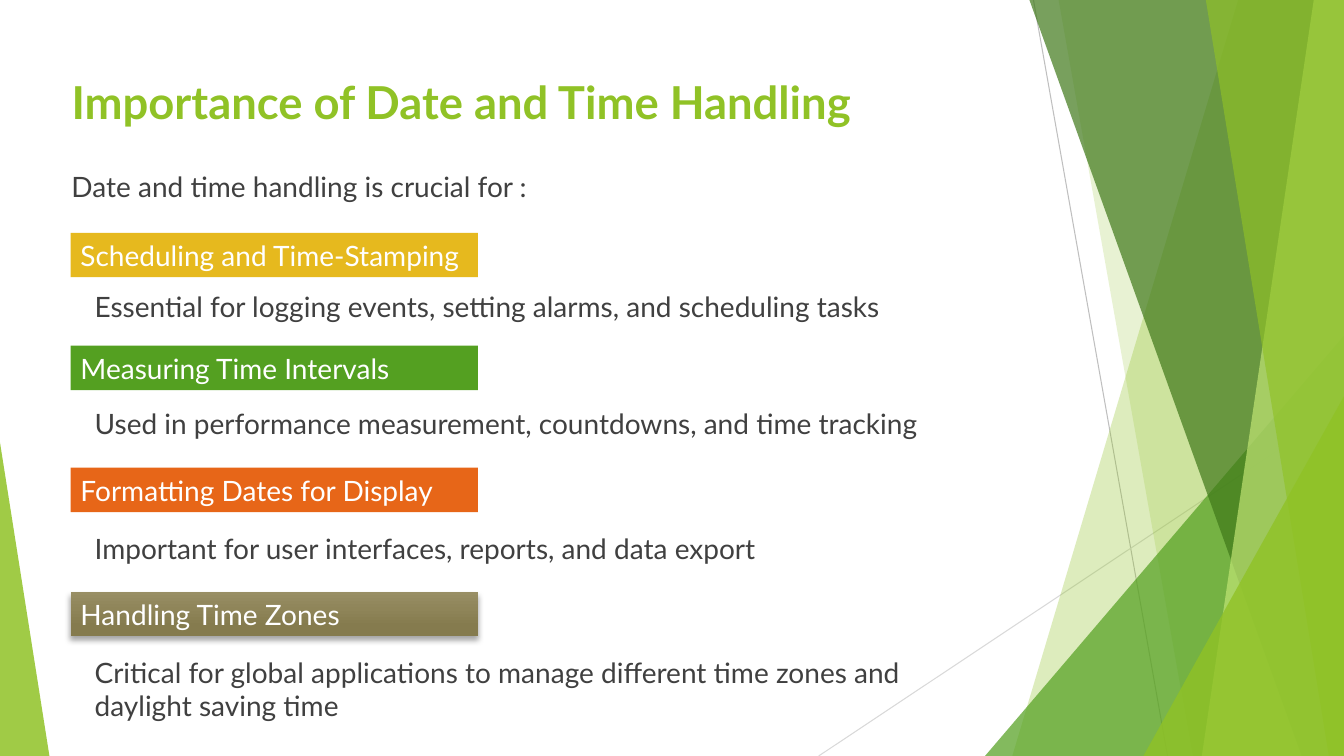
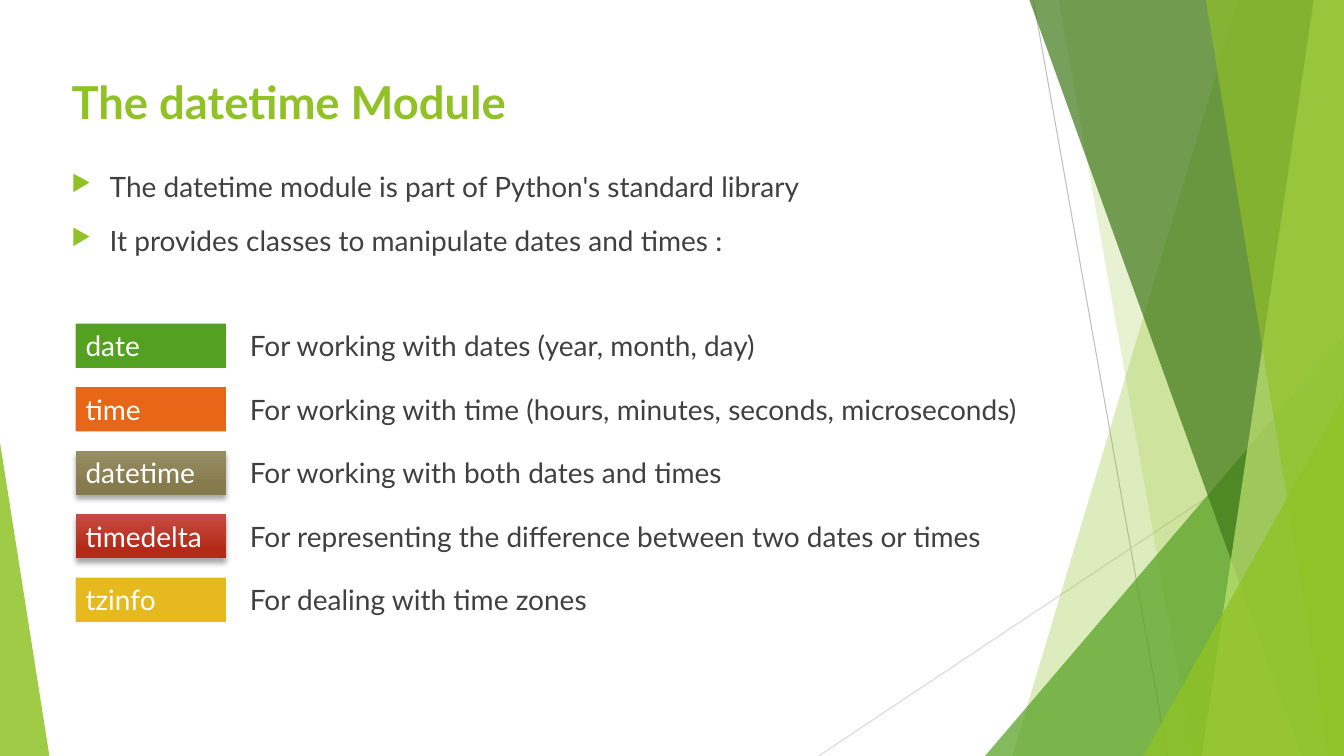
import dataclasses

import pptx
import pptx.dml.color
import pptx.enum.shapes
import pptx.enum.text
import pptx.oxml.ns
import pptx.oxml.xmlchemy
import pptx.util
import lxml.etree

Inches = pptx.util.Inches
Pt = pptx.util.Pt
qn = pptx.oxml.ns.qn
RGB = pptx.dml.color.RGBColor.from_string
SHAPE = pptx.enum.shapes.MSO_SHAPE
ANCHOR = pptx.enum.text.MSO_ANCHOR


@dataclasses.dataclass(frozen=True)
class Theme:
    lime: str = "90C226"
    pale_lime: str = "C0E474"
    green: str = "54A021"
    dark_green: str = "3F7819"
    yellow: str = "E6B91E"
    orange: str = "E76618"
    olive: tuple = ("988E64", "857B4E")
    red: tuple = ("C74B42", "B32B18")
    text: str = "404040"
    white: str = "FFFFFF"
    title_format: dict = dataclasses.field(
        default_factory=lambda: {"name": "Lato", "size": Pt(32.4), "bold": True})
    body_format: dict = dataclasses.field(
        default_factory=lambda: {"name": "Lato", "size": Pt(20), "bold": False})


theme = Theme()
WIDTH, HEIGHT = 13.33, 7.5


def write_text(shape, lines, font_format, colour, anchor=ANCHOR.TOP):
    frame = shape.text_frame
    frame.text = "\n".join(lines)
    frame.word_wrap = True
    frame.auto_size = pptx.enum.text.MSO_AUTO_SIZE.NONE
    frame.vertical_anchor = anchor
    for paragraph in frame.paragraphs:
        paragraph.alignment = pptx.enum.text.PP_ALIGN.LEFT
        for name, value in font_format.items():
            setattr(paragraph.font, name, value)
        paragraph.font.color.rgb = RGB(colour)


def add_label(slide, left, top, width, text, fill):
    """Add a coloured label; a pair of colours gives a shaded fill and a shadow."""
    shape = slide.shapes.add_shape(
        SHAPE.RECTANGLE, Inches(left), Inches(top), Inches(width), Inches(0.44))
    shape.shadow.inherit = False
    shape.line.fill.background()
    if isinstance(fill, tuple):
        shape.fill.gradient()
        shape.fill.gradient_angle = 270
        for stop, colour, position in zip(shape.fill.gradient_stops, fill, (0, 0.78)):
            stop.color.rgb = RGB(colour)
            stop.position = position
        effects = shape.element.spPr.find(qn("a:effectLst"))
        shadow = lxml.etree.SubElement(
            effects, qn("a:outerShdw"), blurRad=str(Pt(4)), dist=str(Pt(3)),
            dir="5400000", rotWithShape="0")
        shadow_colour = lxml.etree.SubElement(shadow, qn("a:srgbClr"), val="000000")
        lxml.etree.SubElement(shadow_colour, qn("a:alpha"), val="35000")
    else:
        shape.fill.solid()
        shape.fill.fore_color.rgb = RGB(fill)
    write_text(shape, [text], theme.body_format, theme.white, ANCHOR.MIDDLE)


presentation = pptx.Presentation()
presentation.slide_width = Inches(WIDTH)
presentation.slide_height = Inches(HEIGHT)

# Shared layout: title position and the facets on both edges
layout = presentation.slide_layouts[5]
title_place = {"left": 0.61, "top": 0.69, "width": 8.4, "height": 0.59}
for name, value in title_place.items():
    setattr(layout.placeholders[0], name, Inches(value))

titles = ["Importance of Date and Time Handling", "The datetime Module"]
slides = []
for title in titles:
    slide = presentation.slides.add_slide(layout)
    write_text(slide.shapes.title, [title], theme.title_format, theme.lime)
    slides.append(slide)
importance_slide, module_slide = slides

decoration = []
edge_lines = [((10.25, 0), (11.58, HEIGHT), "BFBFBF"),
              ((WIDTH, 4.03), (8.12, HEIGHT), "D9D9D9")]
for start, end, colour in edge_lines:
    connector = importance_slide.shapes.add_connector(
        pptx.enum.shapes.MSO_CONNECTOR.STRAIGHT, *map(Inches, start + end))
    connector.line.color.rgb = RGB(colour)
    connector.line.width = Pt(0.75)
    lxml.etree.SubElement(connector.element.spPr, qn("a:effectLst"))
    decoration.append(connector)

# A band runs to the right edge: top x, bottom x. A triangle stands on the
# bottom edge: left, top, width, position of its tip.
facets = [
    ("band", (12.28, 10.04), theme.lime, 30),
    ("band", (10.5, 11.83), theme.lime, 20),
    ("triangle", (9.77, 3.33, 3.56, 1), theme.green, 72),
    ("band", (10.21, 12.91), theme.dark_green, 70),
    ("band", (13.03, 11.92), theme.pale_lime, 70),
    ("band", (11.96, 13.18), theme.lime, 65),
    ("triangle", (11.34, 3.93, 1.99, 1), theme.lime, 80),
    ("triangle", (0, 4.39, 0.49, 0), theme.lime, 85),
]
for kind, geometry, colour, opacity in facets:
    if kind == "band":
        top_x, bottom_x = geometry
        builder = importance_slide.shapes.build_freeform(Inches(top_x), 0)
        corners = [(WIDTH, 0), (WIDTH, HEIGHT), (bottom_x, HEIGHT)]
        builder.add_line_segments([(Inches(x), Inches(y)) for x, y in corners])
        facet = builder.convert_to_shape()
    else:
        left, top, width, tip = geometry
        facet = importance_slide.shapes.add_shape(
            SHAPE.ISOSCELES_TRIANGLE, Inches(left), Inches(top),
            Inches(width), Inches(HEIGHT - top))
        facet.adjustments[0] = tip
    facet.shadow.inherit = False
    facet.fill.solid()
    facet.fill.fore_color.rgb = RGB(colour)
    fill_colour = facet.element.spPr.find(".//" + qn("a:srgbClr"))
    lxml.etree.SubElement(fill_colour, qn("a:alpha"), val=str(opacity * 1000))
    facet.line.fill.background()
    decoration.append(facet)

for shape in decoration:
    layout.shapes.element.append(shape.element)

# Labels: slide, left, top, width, text, fill
# Texts: slide, left, top, width, lines
labels = []
texts = [(importance_slide, 0.61, 1.63, 8.75, ["Date and time handling is crucial for :"])]

uses = [
    (2.31, "Scheduling and Time-Stamping", theme.yellow, 2.82,
     "Essential for logging events, setting alarms, and scheduling tasks"),
    (3.43, "Measuring Time Intervals", theme.green, 3.98,
     "Used in performance measurement, countdowns, and time tracking"),
    (4.64, "Formatting Dates for Display", theme.orange, 5.22,
     "Important for user interfaces, reports, and data export"),
    (5.87, "Handling Time Zones", theme.olive, 6.45,
     "Critical for global applications to manage different time zones "
     "and daylight saving time"),
]
for label_top, use, fill, text_top, explanation in uses:
    labels.append((importance_slide, 0.7, label_top, 4.04, use, fill))
    texts.append((importance_slide, 0.84, text_top, 8.75, [explanation]))

classes = [
    ("date", theme.green, "For working with dates (year, month, day)"),
    ("time", theme.orange, "For working with time (hours, minutes, seconds, microseconds)"),
    ("datetime", theme.olive, "For working with both dates and times"),
    ("timedelta", theme.red, "For representing the difference between two dates or times"),
    ("tzinfo", theme.yellow, "For dealing with time zones"),
]
for row, (class_name, fill, purpose) in enumerate(classes):
    row_top = 3.21 + 0.63 * row
    labels.append((module_slide, 0.75, row_top, 1.49, class_name, fill))
    texts.append((module_slide, 2.38, row_top, 8.3, [purpose]))

for label in labels:
    add_label(*label)
for slide, left, top, width, lines in texts:
    box = slide.shapes.add_textbox(Inches(left), Inches(top), Inches(width), Inches(0.51))
    write_text(box, lines, theme.body_format, theme.text)

# Bulleted introduction of the module
introduction = module_slide.shapes.add_textbox(
    Inches(0.61), Inches(1.63), Inches(7.75), Inches(1.05))
introduction_lines = ["The datetime module is part of Python's standard library",
                      "It provides classes to manipulate dates and times :"]
introduction.text_frame.text = "\n".join(introduction_lines)
for paragraph in introduction.text_frame.paragraphs:
    properties = paragraph._p.get_or_add_pPr()
    properties.set("marL", str(Inches(0.38)))
    properties.set("indent", str(-Inches(0.38)))
    bullet_colour = lxml.etree.SubElement(properties, qn("a:buClr"))
    lxml.etree.SubElement(bullet_colour, qn("a:srgbClr"), val=theme.lime)
    lxml.etree.SubElement(properties, qn("a:buSzPct"), val="80000")
    lxml.etree.SubElement(properties, qn("a:buChar"), char="▶")
    for name, value in theme.body_format.items():
        setattr(paragraph.font, name, value)
    paragraph.font.color.rgb = RGB(theme.text)
introduction.text_frame.word_wrap = True
introduction.text_frame.paragraphs[1].space_before = Pt(15)

presentation.save("out.pptx")
